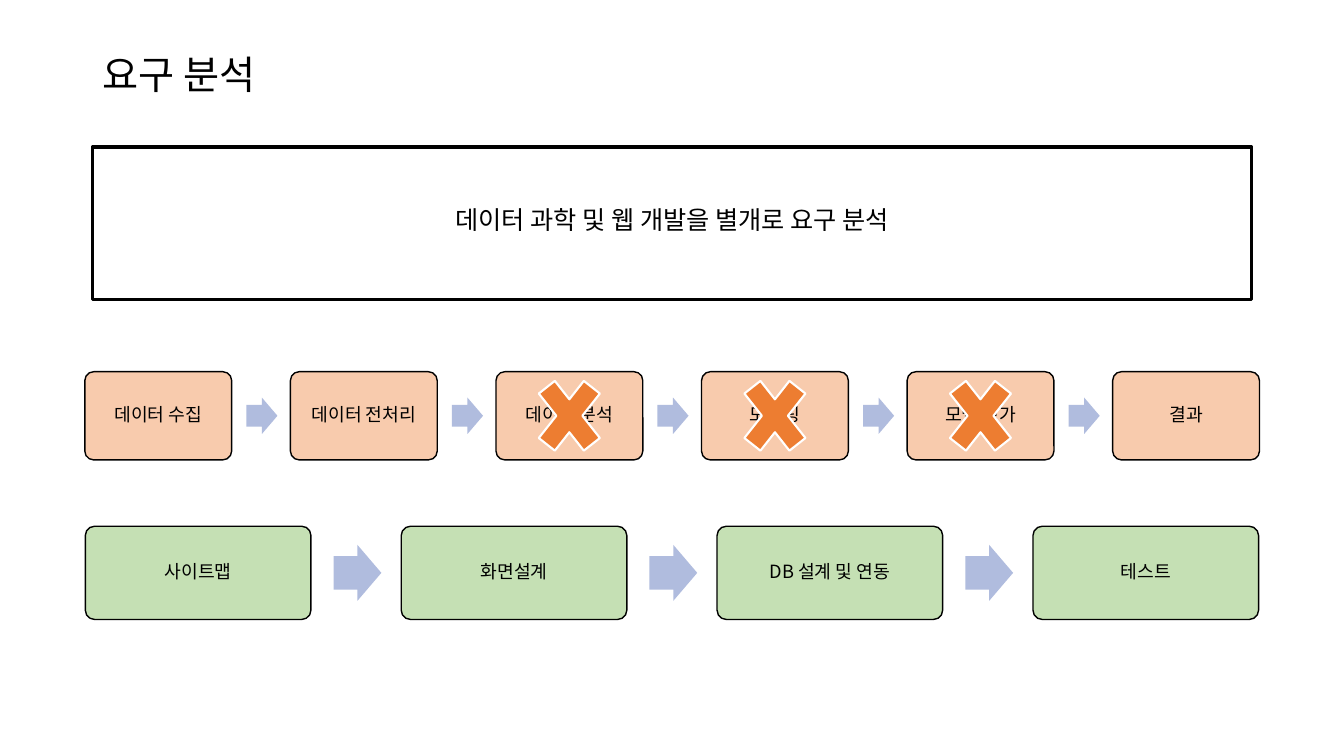
from lxml.etree import SubElement
from pptx import Presentation
from pptx.dml.color import RGBColor
from pptx.enum.shapes import MSO_SHAPE
from pptx.enum.text import MSO_ANCHOR, PP_ALIGN
from pptx.oxml.ns import qn
from pptx.util import Inches, Pt

BLACK = RGBColor(0x00, 0x00, 0x00)
WHITE = RGBColor(0xFF, 0xFF, 0xFF)
PEACH = RGBColor(0xF8, 0xCB, 0xAD)
GREEN = RGBColor(0xC5, 0xE0, 0xB4)
LAVENDER = RGBColor(0xB0, 0xBC, 0xDE)
ORANGE = RGBColor(0xED, 0x7D, 0x31)

FONT = "Noto Sans CJK KR"
COLUMNS, ROWS = 80, 45

DATA_STEPS = ["데이터 수집", "데이터 전처리", "데이터 분석", "모델링", "모델 평가", "결과"]
EXCLUDED_STEPS = {"데이터 분석", "모델링", "모델 평가"}
WEB_STEPS = ["사이트맵", "화면설계", "DB 설계 및 연동", "테스트"]


class SlideBuilder:
    """Draws on one slide; all places and sizes are in grid columns and rows."""

    def __init__(self, deck):
        self.slide = deck.slides.add_slide(deck.slide_layouts[6])
        self.column = deck.slide_width / COLUMNS
        self.row = deck.slide_height / ROWS

    def place(self, left, top, width, height):
        return (round(left * self.column), round(top * self.row),
                round(width * self.column), round(height * self.row))

    def shape(self, preset, area, fill, line=None, weight=1, adjustments=()):
        shape = self.slide.shapes.add_shape(preset, *self.place(*area))
        shape.shadow.inherit = False
        shape.fill.solid()
        shape.fill.fore_color.rgb = fill
        if line is None:
            shape.line.fill.background()
        else:
            shape.line.color.rgb = line
            shape.line.width = Pt(weight)
        for index, value in enumerate(adjustments):
            shape.adjustments[index] = value
        return shape

    def set_text(self, frame, text, size, align, anchor, spacing=None):
        frame.word_wrap = True
        frame.vertical_anchor = anchor
        paragraph = frame.paragraphs[0]
        paragraph.text = text
        paragraph.alignment = align
        paragraph.line_spacing = spacing
        paragraph.font.size = Pt(size)
        paragraph.font.color.rgb = BLACK
        paragraph.font.name = FONT
        defaults = paragraph._p.pPr.find(qn("a:defRPr"))
        SubElement(defaults, qn("a:ea")).set("typeface", FONT)
        return paragraph

    def text(self, area, text, size, align, anchor, spacing=None):
        frame = self.slide.shapes.add_textbox(*self.place(*area)).text_frame
        self.set_text(frame, text, size, align, anchor, spacing)

    def step(self, area, label, fill):
        box = self.shape(MSO_SHAPE.ROUNDED_RECTANGLE, area, fill, BLACK, adjustments=[0.1])
        frame = box.text_frame
        frame.margin_left = frame.margin_right = Inches(0.04)
        frame.margin_top = frame.margin_bottom = Inches(0.04)
        paragraph = self.set_text(frame, label, 13, PP_ALIGN.CENTER, MSO_ANCHOR.MIDDLE, 0.9)
        paragraph.space_after = Pt(4.5)

    def cross_out(self, center, middle):
        width, height = 5.16, 6.54
        area = (center - width / 2, middle - height / 2, width, height)
        self.shape(MSO_SHAPE.MATH_MULTIPLY, area, ORANGE, WHITE, 1.5)

    def process(self, labels, left, middle, width, height, fill, excluded=()):
        """Row of steps joined by arrows, with the excluded steps crossed out."""
        pitch = width * 1.4
        arrow_width, arrow_height = width * 0.212, width * 0.248
        for index, label in enumerate(labels):
            start = left + index * pitch
            self.step((start, middle - height / 2, width, height), label, fill)
            if index < len(labels) - 1:
                arrow = (start + width * 1.1, middle - arrow_height / 2,
                         arrow_width, arrow_height)
                self.shape(MSO_SHAPE.RIGHT_ARROW, arrow, LAVENDER, adjustments=[0.6, 0.5])
            if label in excluded:
                self.cross_out(start + width / 2, middle)


def main():
    deck = Presentation()
    deck.slide_width, deck.slide_height = Inches(13.33), Inches(7.5)
    page = SlideBuilder(deck)

    page.shape(MSO_SHAPE.RECTANGLE, (5.5, 8.75, 69, 9.07), WHITE, BLACK, 2.25)
    page.text((5.5, 2.4, 69, 4.3), "요구 분석", 28, PP_ALIGN.LEFT, MSO_ANCHOR.MIDDLE, 0.9)
    page.text((7.3, 11.88, 65.4, 2.4), "데이터 과학 및 웹 개발을 별개로 요구 분석", 18,
              PP_ALIGN.CENTER, MSO_ANCHOR.TOP)

    page.process(DATA_STEPS, 5.05, 24.75, 8.74, 5.25, PEACH, EXCLUDED_STEPS)
    page.process(WEB_STEPS, 5.08, 34.1, 13.43, 5.55, GREEN)

    deck.save("out.pptx")


if __name__ == "__main__":
    main()
